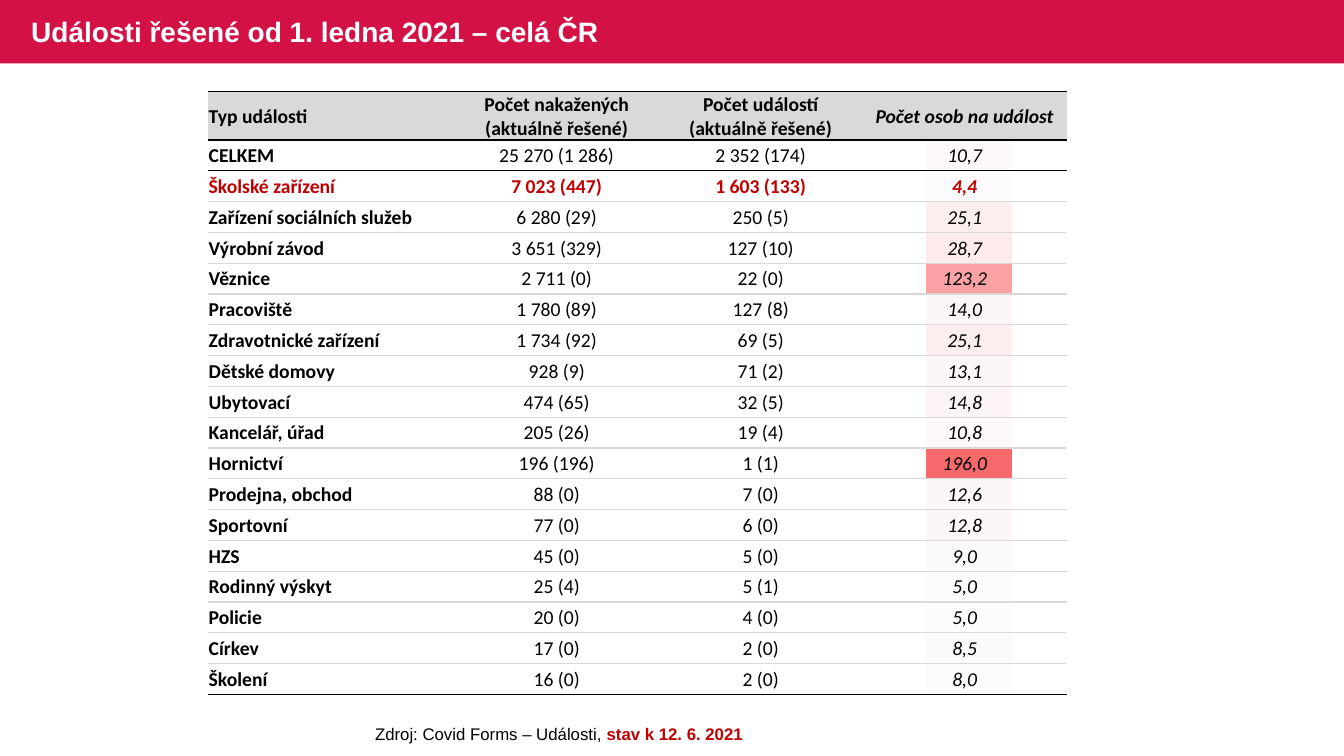
from lxml.etree import SubElement
from pptx import Presentation
from pptx.dml.color import RGBColor
from pptx.enum.shapes import MSO_SHAPE as Shape
from pptx.enum.text import MSO_ANCHOR as Anchor, MSO_AUTO_SIZE as AutoSize, PP_ALIGN as Align
from pptx.oxml import parse_xml
from pptx.oxml.ns import nsdecls, qn
from pptx.util import Inches, Pt

RED, BLACK, GREY, BAND = "C00000", "000000", "D9D9D9", "D31145"
NO_STYLE = "{2D5ABB26-0587-4C30-8999-92F81FD0307C}"
LEFT, TOP, WIDTH = 2.06, 0.91, 8.52
HEADER_HEIGHT, BODY_HEIGHT = 0.48, 5.5
TYPE_WIDTH = 2.45
COUNT_WIDTH = (WIDTH - TYPE_WIDTH) / 3
SHADE_LEFT, SHADE_WIDTH = 9.18, 0.86

header = ("Typ události", "Počet nakažených\n(aktuálně řešené)",
          "Počet událostí\n(aktuálně řešené)", "Počet osob na událost")
# event type, infected, events, people per event, shade
events = [
    ("CELKEM", "25 270 (1 286)", "2 352 (174)", "10,7", "FCF8FB"),
    ("Školské zařízení", "7 023 (447)", "1 603 (133)", "4,4", "FCFCFF"),
    ("Zařízení sociálních služeb", "6 280 (29)", "250 (5)", "25,1", "FCEDEF"),
    ("Výrobní závod", "3 651 (329)", "127 (10)", "28,7", "FCEAED"),
    ("Věznice", "2 711 (0)", "22 (0)", "123,2", "FAA1A4"),
    ("Pracoviště", "1 780 (89)", "127 (8)", "14,0", "FCF5F8"),
    ("Zdravotnické zařízení", "1 734 (92)", "69 (5)", "25,1", "FCEDEF"),
    ("Dětské domovy", "928 (9)", "71 (2)", "13,1", "FCF6F9"),
    ("Ubytovací", "474 (65)", "32 (5)", "14,8", "FCF4F7"),
    ("Kancelář, úřad", "205 (26)", "19 (4)", "10,8", "FCF8FB"),
    ("Hornictví", "196 (196)", "1 (1)", "196,0", "F8696B"),
    ("Prodejna, obchod", "88 (0)", "7 (0)", "12,6", "FCF6F9"),
    ("Sportovní", "77 (0)", "6 (0)", "12,8", "FCF6F9"),
    ("HZS", "45 (0)", "5 (0)", "9,0", "FCF9FC"),
    ("Rodinný výskyt", "25 (4)", "5 (1)", "5,0", "FCFCFF"),
    ("Policie", "20 (0)", "4 (0)", "5,0", "FCFCFF"),
    ("Církev", "17 (0)", "2 (0)", "8,5", "FCF9FC"),
    ("Školení", "16 (0)", "2 (0)", "8,0", "FCFAFD"),
]
rows = [header] + [event[:4] for event in events]
shades = [event[4] for event in events]


def color(value):
    return RGBColor.from_string(value)


def add_plain_table(left, top, widths, heights):
    """Add a table without style, with the given column widths and row heights."""
    table = page.shapes.add_table(len(heights), len(widths), Inches(left), Inches(top),
                                  Inches(sum(widths)), Inches(sum(heights))).table
    table.first_row = table.horz_banding = False
    table._tbl.tblPr.find(qn("a:tableStyleId")).text = NO_STYLE
    for column, width in zip(table.columns, widths):
        column.width = Inches(width)
    for row, height in zip(table.rows, heights):
        row.height = Inches(height)
    for cell in table.iter_cells():
        cell.margin_left = cell.margin_right = cell.margin_top = Inches(0.01)
        cell.margin_bottom = 0
        cell.vertical_anchor = Anchor.MIDDLE
    return table


deck = Presentation()
deck.slide_width, deck.slide_height = Inches(13.33), Inches(7.5)
page = deck.slides.add_slide(deck.slide_layouts[5])

# Title on its band
band = page.shapes.add_shape(Shape.RECTANGLE, 0, 0, deck.slide_width, Inches(0.63))
band.shadow.inherit = False
band.fill.solid()
band.fill.fore_color.rgb = color(BAND)
band.line.fill.background()
page.shapes._spTree.insert(2, band._element)

title = page.shapes.title
title.left, title.top, title.width, title.height = map(Inches, (0.21, 0.02, 8.13, 0.63))
title.text_frame.text = "Události řešené od 1. ledna 2021 – celá ČR"
title.text_frame.vertical_anchor = Anchor.MIDDLE
para = title.text_frame.paragraphs[0]
para.alignment, para.line_spacing = Align.LEFT, 0.9
para.font.name, para.font.size, para.font.bold = "Arial", Pt(20), True
para.font.color.rgb = color("FFFFFF")

# Shading behind the last column
row_height = BODY_HEIGHT / len(events)
row_heights = [row_height] * len(events)
shading = add_plain_table(SHADE_LEFT, TOP + HEADER_HEIGHT, [SHADE_WIDTH], row_heights)
for cell, shade in zip(shading.iter_cells(), shades):
    cell.fill.solid()
    cell.fill.fore_color.rgb = color(shade)
    cell.text_frame.paragraphs[0]._p.get_or_add_endParaRPr().set("sz", "1000")

# Source line
source = page.shapes.add_textbox(Inches(LEFT), Inches(7.13), Inches(6.97), Inches(0.3))
source.text_frame.word_wrap = True
source.text_frame.auto_size = AutoSize.SHAPE_TO_FIT_TEXT
para = source.text_frame.paragraphs[0]
para.alignment = Align.CENTER
para.font.name, para.font.size = "Arial", Pt(12)
for text, ink, bold in (("Zdroj: Covid Forms – Události, ", BLACK, False),
                        ("stav k 12. 6. 2021", RED, True)):
    span = para.add_run()
    span.text = text
    span.font.bold, span.font.color.rgb = bold, color(ink)

# Events table: black rules around the header, the total and at the end
edges = [BLACK] * 3 + [GREY] * (len(rows) - 3) + [BLACK]
table = add_plain_table(LEFT, TOP, [TYPE_WIDTH] + [COUNT_WIDTH] * 3,
                        [HEADER_HEIGHT] + row_heights)
for i, values in enumerate(rows):
    for j, value in enumerate(values):
        cell = table.cell(i, j)
        cell.text = value
        for para in cell.text_frame.paragraphs:
            para.alignment = Align.CENTER if j else Align.LEFT
            para.font.name, para.font.size = "Calibri", Pt(14)
            para.font.bold = j == 0 or i in (0, 2)
            para.font.italic = j == 3
            para.font.color.rgb = color(RED if i == 2 else BLACK)
        properties = cell._tc.get_or_add_tcPr()
        for side, edge in (("lnT", edges[i]), ("lnB", edges[i + 1])):
            line = SubElement(properties, qn(f"a:{side}"), w=str(Pt(1)))
            line.append(parse_xml(f'<a:solidFill {nsdecls("a")}>'
                                  f'<a:srgbClr val="{edge}"/></a:solidFill>'))
        if i == 0:
            cell.fill.solid()
            cell.fill.fore_color.rgb = color(GREY)

deck.save("out.pptx")
